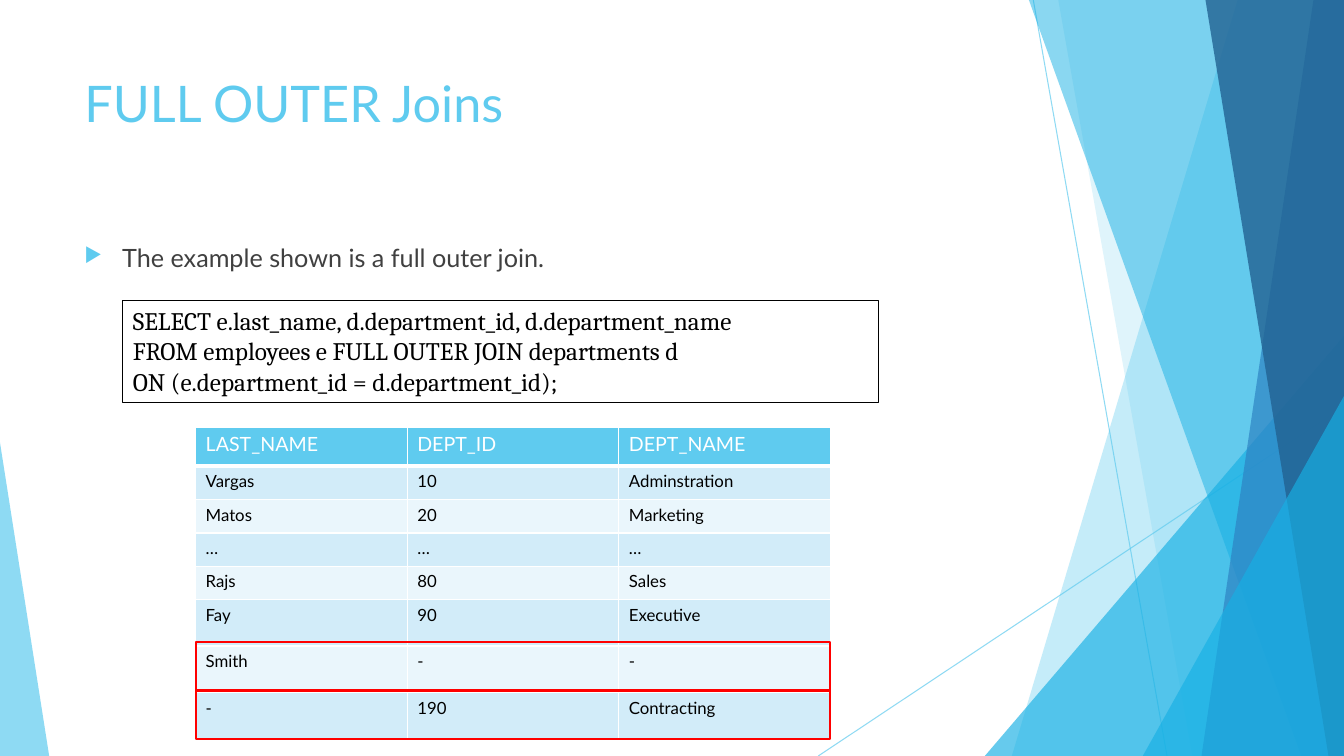
from dataclasses import dataclass

from lxml import etree
from pptx import Presentation
from pptx import util as u
from pptx.dml.color import RGBColor
from pptx.enum import shapes, text
from pptx.oxml import ns

COLORS = {
    "sky": "5FCBEF", "cyan": "17B0E4", "blue": "2E83C3", "navy": "226292",
    "band_dark": "D2ECF9", "band_light": "EAF6FC", "white": "FFFFFF",
    "black": "000000", "body": "404040", "red": "FF0000",
}
SQL = """SELECT e.last_name, d.department_id, d.department_name
FROM employees e FULL OUTER JOIN departments d
ON (e.department_id = d.department_id);"""
RESULT = [
    ("LAST_NAME", "DEPT_ID", "DEPT_NAME"),
    ("Vargas", "10", "Adminstration"),
    ("Matos", "20", "Marketing"),
    ("…", "…", "…"),
    ("Rajs", "80", "Sales"),
    ("Fay", "90", "Executive"),
    ("Smith", "-", "-"),
    ("-", "190", "Contracting"),
]
ROW_HEIGHTS = [0.98] + [0.84] * 4 + [1.17] * 3


@dataclass
class Box:
    """A region of the page, in centimetres."""
    left: float
    top: float
    width: float
    height: float

    @property
    def right(self):
        return self.left + self.width

    @property
    def bottom(self):
        return self.top + self.height

    def lengths(self):
        return [u.Cm(n) for n in (self.left, self.top, self.width, self.height)]


def rgb(name):
    return RGBColor.from_string(COLORS[name])


def add_child(parent, tag, **attributes):
    return etree.SubElement(parent, ns.qn(tag), attributes)


def set_alpha(element, percent):
    color = next(element.iter(ns.qn("a:srgbClr")))
    add_child(color, "a:alpha", val=str(percent * 1000))


def style_text(frame, font, size, color):
    for para in frame.paragraphs:
        para.alignment = text.PP_ALIGN.LEFT
        for span in para.runs:
            span.font.name = font
            span.font.size = u.Pt(size)
            span.font.color.rgb = rgb(color)


def paint_glass(shape, color, opacity):
    shape.shadow.inherit = False
    shape.fill.solid()
    shape.fill.fore_color.rgb = rgb(color)
    set_alpha(shape.fill._xPr, opacity)
    shape.line.fill.background()


def add_hairline(page, start, end):
    points = [u.Cm(n) for n in (*start, *end)]
    line = page.shapes.add_connector(shapes.MSO_CONNECTOR.STRAIGHT, *points)
    line.line.color.rgb = rgb("sky")
    line.line.width = u.Pt(0.75)
    set_alpha(line.line._ln, 70)
    add_child(line._element.spPr, "a:effectLst")


def add_shard(page, box, top_x, bottom_x, color, opacity):
    """Fill the band from a slanted left edge to the right of the box."""
    outline = page.shapes.build_freeform(u.Cm(box.left + top_x), u.Cm(box.top))
    corners = [(box.right, box.top), (box.right, box.bottom),
               (box.left + bottom_x, box.bottom)]
    outline.add_line_segments([(u.Cm(x), u.Cm(y)) for x, y in corners])
    paint_glass(outline.convert_to_shape(), color, opacity)


def add_wedge(page, box, apex, color, opacity):
    wedge = page.shapes.add_shape(shapes.MSO_SHAPE.ISOSCELES_TRIANGLE, *box.lengths())
    wedge.adjustments[0] = apex
    paint_glass(wedge, color, opacity)


def add_facets(page, box):
    """Layer the hairlines, shards and wedges at the right of the page."""
    def corner_wedge(x, y):
        corner = Box(box.left + x, box.top + y, box.width - x, box.height - y)
        add_wedge(page, corner, 1, "cyan", 66)

    add_hairline(page, (box.left + 5.42, box.top), (box.left + 8.79, box.bottom))
    add_hairline(page, (box.right, box.top + 10.24), (box.left, box.bottom))
    add_shard(page, box, 10.57, 4.88, "sky", 36)
    add_shard(page, box, 6.05, 9.43, "sky", 20)
    corner_wedge(4.2, 8.46)
    add_shard(page, box, 5.31, 12.17, "cyan", 50)
    add_shard(page, box, 12.48, 9.66, "blue", 70)
    add_shard(page, box, 9.76, 12.86, "navy", 80)
    corner_wedge(8.18, 9.98)


def add_text(page, box, words, size, color):
    frame = page.shapes.add_textbox(*box.lengths()).text_frame
    frame.word_wrap = True
    frame.text = words
    style_text(frame, "Lato", size, color)
    return frame


def add_bullet_text(page, box, words):
    frame = add_text(page, box, words, 18, "body")
    properties = frame.paragraphs[0]._p.get_or_add_pPr()
    indent = u.Cm(0.95)
    properties.set("marL", str(indent))
    properties.set("indent", str(-indent))
    add_child(add_child(properties, "a:buClr"), "a:srgbClr", val=COLORS["sky"])
    add_child(properties, "a:buSzPct", val="80000")
    add_child(properties, "a:buChar", char="▶")


def add_frame(page, box, color, width):
    frame = page.shapes.add_shape(shapes.MSO_SHAPE.RECTANGLE, *box.lengths())
    frame.shadow.inherit = False
    frame.fill.background()
    frame.line.color.rgb = rgb(color)
    frame.line.width = u.Pt(width)
    return frame


def add_code(page, box):
    frame = add_frame(page, box, "black", 0.75).text_frame
    frame.word_wrap = True
    frame.auto_size = text.MSO_AUTO_SIZE.SHAPE_TO_FIT_TEXT
    frame.vertical_anchor = text.MSO_ANCHOR.TOP
    frame.text = SQL
    style_text(frame, "Cambria", 18, "black")


def set_borders(cell, bottom):
    properties = cell._tc.get_or_add_tcPr()
    sides = [("L", 1), ("R", 1), ("T", 1), ("B", bottom)]
    for place, (side, width) in enumerate(sides):
        line = add_child(properties, f"a:ln{side}", w=str(u.Pt(width)))
        fill = add_child(line, "a:solidFill")
        add_child(fill, "a:srgbClr", val=COLORS["white"])
        properties.insert(place, line)


def add_result(page, box):
    """Place the query result and frame its two unmatched rows."""
    table = page.shapes.add_table(len(RESULT), len(RESULT[0]), *box.lengths()).table
    for column in table.columns:
        column.width = u.Cm(box.width / len(RESULT[0]))
    for index, values in enumerate(RESULT):
        table.rows[index].height = u.Cm(ROW_HEIGHTS[index])
        header = index == 0
        band = "sky" if header else "band_dark" if index % 2 else "band_light"
        for cell, value in zip(table.rows[index].cells, values):
            cell.text = value
            style_text(cell.text_frame, "Lato", 14 if header else 12,
                       "white" if header else "black")
            for span in cell.text_frame.paragraphs[0].runs:
                span.font.bold = False
            cell.fill.solid()
            cell.fill.fore_color.rgb = rgb(band)
            set_borders(cell, 3 if header else 1)
    height = 1.22
    for step in range(2):
        marked = Box(box.left, box.top + 5.41 + step * height, box.width, height)
        add_frame(page, marked, "red", 1.5)


def main():
    deck = Presentation()
    deck.slide_width, deck.slide_height = u.Cm(33.87), u.Cm(19.05)
    page = deck.slides.add_slide(deck.slide_layouts[6])
    add_facets(page, Box(20.62, 0, 13.25, 19.05))
    add_wedge(page, Box(0, 11.15, 1.24, 7.9), 0, "sky", 70)
    add_text(page, Box(1.88, 1.7, 23.88, 3.66), "FULL OUTER Joins", 36, "sky")
    add_code(page, Box(3.1, 7.57, 19.05, 2.57))
    add_result(page, Box(4.93, 10.77, 16, sum(ROW_HEIGHTS)))
    add_bullet_text(page, Box(1.88, 5.99, 23.88, 1.78),
                    "The example shown is a full outer join.")
    deck.save("out.pptx")


if __name__ == "__main__":
    main()
